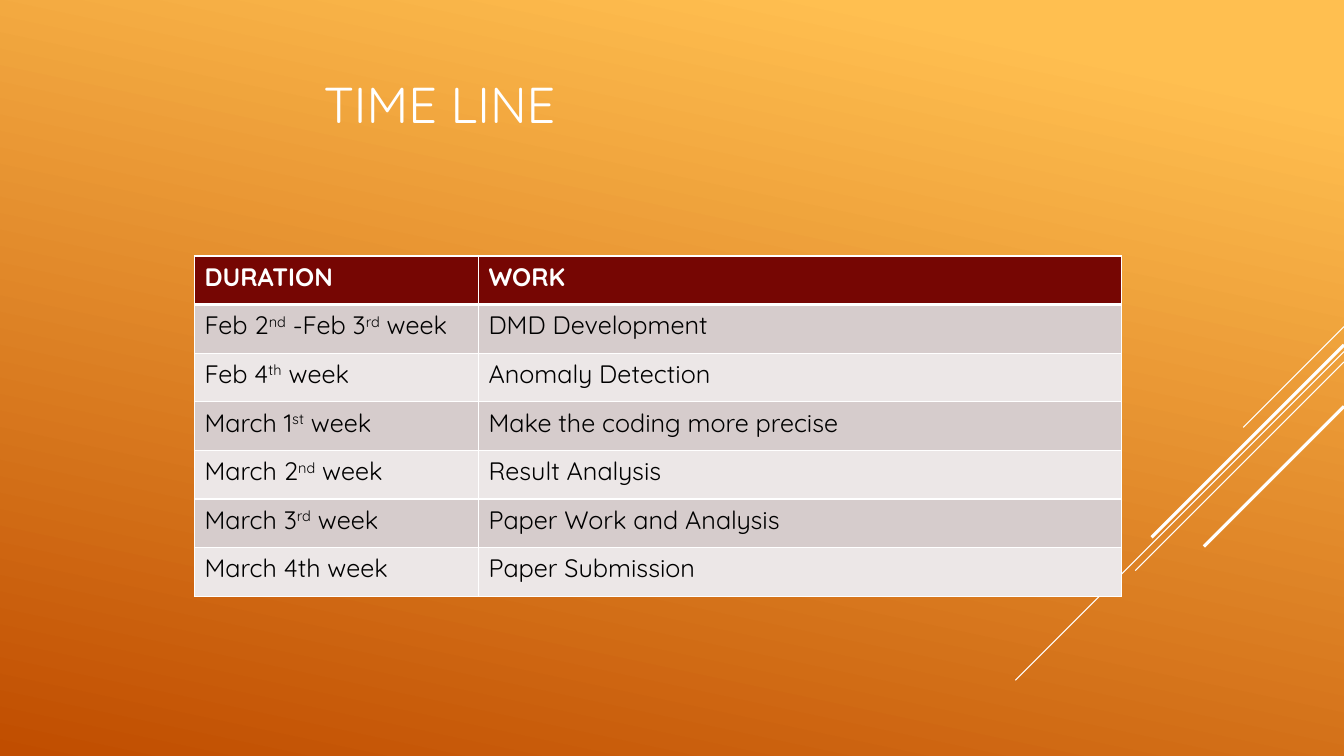
from pptx import Presentation
from pptx.dml.color import RGBColor
from pptx.enum.shapes import MSO_CONNECTOR
from pptx.enum.text import MSO_ANCHOR, PP_ALIGN
from pptx.oxml.ns import qn
from pptx.util import Cm, Pt
from lxml.etree import SubElement

WHITE = RGBColor(0xFF, 0xFF, 0xFF)
BLACK = RGBColor(0x00, 0x00, 0x00)
AMBER = RGBColor(0xFF, 0xBF, 0x50)
RUST = RGBColor(0xC0, 0x4D, 0x00)
MAROON = RGBColor(0x76, 0x06, 0x03)
BAND_DARK = RGBColor(0xD6, 0xCC, 0xCC)
BAND_LIGHT = RGBColor(0xEC, 0xE7, 0xE7)
FONT = "Quicksand"

# Text between ^ marks is superscript
SCHEDULE = [
    ("DURATION", "WORK"),
    ("Feb 2^nd^ -Feb 3^rd^ week", "DMD Development"),
    ("Feb 4^th^ week", "Anomaly Detection"),
    ("March 1^st^ week", "Make the coding more precise"),
    ("March 2^nd^ week", "Result Analysis"),
    ("March 3^rd^ week", "Paper Work and Analysis"),
    ("March 4th week", "Paper Submission"),
]

# Diagonals: start height at the right edge, horizontal reach, line width
DIAGONALS = [
    (Cm(8.23), Cm(2.54), Pt(0.75)),
    (Cm(8.86), Cm(8.28), Pt(0.75)),
    (Cm(9.12), Cm(5.26), Pt(0.75)),
    (Cm(8.69), Cm(4.85), Pt(2.25)),
    (Cm(10.24), Cm(3.53), Pt(2.25)),
]


def style_run(run, size, color, bold=False):
    run.font.name = FONT
    run.font.size = Pt(size)
    run.font.bold = bold
    run.font.color.rgb = color


def paint_background(slide):
    fill = slide.background.fill
    fill.gradient()
    fill.gradient_angle = 258
    for stop, color, position in zip(fill.gradient_stops, (AMBER, RUST), (0.1, 1)):
        stop.color.rgb = color
        stop.position = position


def add_diagonals(slide, right, top):
    """Draw 45-degree lines that run down and left from the right edge."""
    for drop, reach, width in DIAGONALS:
        start = top + drop
        line = slide.shapes.add_connector(
            MSO_CONNECTOR.STRAIGHT, right, start, right - reach, start + reach)
        line.line.color.rgb = WHITE
        line.line.width = width
        SubElement(line._element.spPr, qn("a:effectLst"))


def add_title(slide, left, top, width, height):
    title = slide.shapes.title
    title.left, title.top, title.width, title.height = left, top, width, height
    frame = title.text_frame
    frame.text = "TIME LINE"
    frame.word_wrap = True
    frame.vertical_anchor = MSO_ANCHOR.MIDDLE
    paragraph = frame.paragraphs[0]
    paragraph.alignment = PP_ALIGN.LEFT
    style_run(paragraph.runs[0], 36, WHITE)


def set_borders(cell, top, bottom):
    properties = cell._tc.get_or_add_tcPr()
    for side, points in (("L", 1), ("R", 1), ("T", top), ("B", bottom)):
        border = SubElement(properties, qn(f"a:ln{side}"), w=str(Pt(points)))
        fill = SubElement(border, qn("a:solidFill"))
        SubElement(fill, qn("a:srgbClr"), val=str(WHITE))


def fill_cell(cell, text, row):
    header = row == 0
    set_borders(cell, top=3 if row == 1 else 1, bottom=3 if header else 1)
    cell.fill.solid()
    cell.fill.fore_color.rgb = MAROON if header else (BAND_LIGHT, BAND_DARK)[row % 2]
    paragraph = cell.text_frame.paragraphs[0]
    for index, part in enumerate(text.split("^")):
        run = paragraph.add_run()
        run.text = part
        style_run(run, 18, WHITE if header else BLACK, bold=header)
        if index % 2:
            run._r.get_or_add_rPr().set("baseline", "30000")


def add_schedule(slide, left, top, width, height):
    rows = len(SCHEDULE)
    table = slide.shapes.add_table(rows, 2, left, top, width, height).table
    table.horz_banding = False
    first_width = Cm(7.16)
    table.columns[0].width = first_width
    table.columns[1].width = width - first_width
    for row, texts in enumerate(SCHEDULE):
        for column, text in enumerate(texts):
            fill_cell(table.cell(row, column), text, row)


def main():
    presentation = Presentation()
    presentation.slide_width = Cm(33.87)
    presentation.slide_height = Cm(19.05)
    slide = presentation.slides.add_slide(presentation.slide_layouts[5])

    # Backdrop
    paint_background(slide)
    add_diagonals(slide, presentation.slide_width, Cm(0))

    # Content
    add_schedule(slide, Cm(4.9), Cm(6.45), Cm(23.37), Cm(8.58))
    add_title(slide, Cm(7.9), Cm(1.7), Cm(17.07), Cm(1.8))

    presentation.save("out.pptx")


if __name__ == "__main__":
    main()
